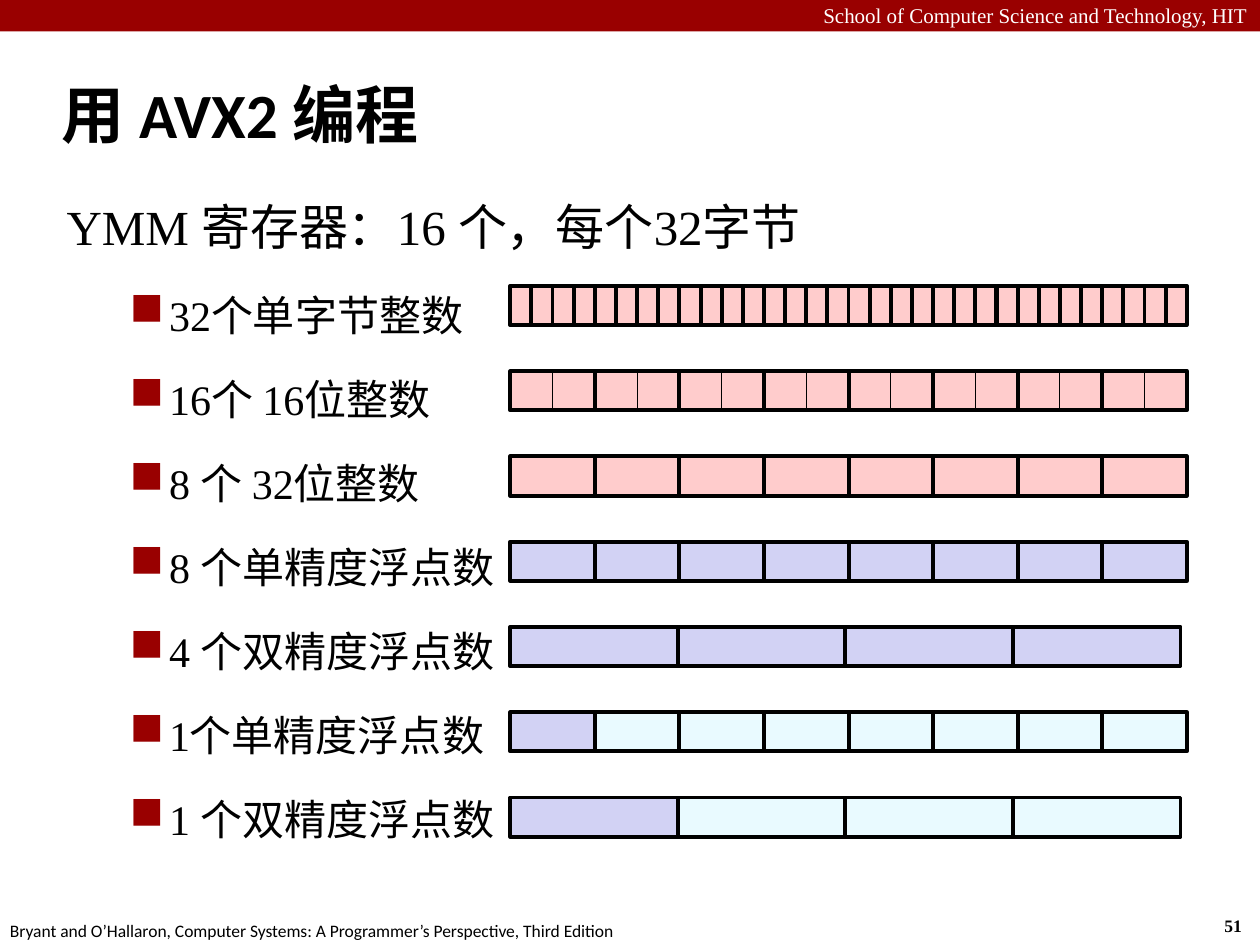
from dataclasses import dataclass
from typing import Optional

from lxml.etree import SubElement
from pptx import Presentation
from pptx.dml.color import RGBColor
from pptx.enum.shapes import MSO_SHAPE
from pptx.enum.text import MSO_ANCHOR, MSO_AUTO_SIZE, PP_ALIGN
from pptx.oxml.ns import qn
from pptx.slide import Slide
from pptx.text.text import TextFrame, _Paragraph
from pptx.util import Pt


@dataclass(frozen=True)
class Theme:
    """Colours, fonts and type sizes of the slide."""
    red: str = "990000"
    black: str = "000000"
    white: str = "FFFFFF"
    integer: str = "FFCCCC"
    floating: str = "D2D2F4"
    unused: str = "E9FAFF"
    serif: str = "Times New Roman"
    sans: str = "Calibri"
    title_size: float = 36
    heading_size: float = 28
    bullet_size: float = 24
    header_size: float = 12
    footer_size: float = 10


@dataclass(frozen=True)
class Box:
    """A rectangle in points."""
    left: float
    top: float
    width: float
    height: float

    def lengths(self) -> tuple[Pt, Pt, Pt, Pt]:
        """Return the four lengths for a new shape."""
        return Pt(self.left), Pt(self.top), Pt(self.width), Pt(self.height)


@dataclass(frozen=True)
class Register:
    """One way of dividing a register into lanes."""
    label: str
    lanes: int
    first_fill: str
    other_fill: str
    line_width: float = 2.25
    outlined_lanes: int = 0


@dataclass(frozen=True)
class Label:
    """A line of text in the header or footer."""
    text: str
    box: Box
    size: float
    font: str
    color: str
    bold: bool = False
    wrap: bool = False
    alignment: PP_ALIGN = PP_ALIGN.LEFT


THEME = Theme()
REGISTERS = [
    Register("32个单字节整数", 32, THEME.integer, THEME.integer),
    Register("16个 16位整数", 16, THEME.integer, THEME.integer, 0.5, 8),
    Register("8 个 32位整数", 8, THEME.integer, THEME.integer),
    Register("8 个单精度浮点数", 8, THEME.floating, THEME.floating),
    Register("4 个双精度浮点数", 4, THEME.floating, THEME.floating),
    Register("1个单精度浮点数", 8, THEME.floating, THEME.unused),
    Register("1 个双精度浮点数", 4, THEME.floating, THEME.unused),
]
LABELS = [
    Label("School of Computer Science and Technology, HIT", Box(0, -2, 720, 21.6),
          THEME.header_size, THEME.serif, THEME.white, wrap=True, alignment=PP_ALIGN.RIGHT),
    Label("51", Box(692.6, 519.1, 26.6, 19.4),
          THEME.footer_size, THEME.serif, THEME.black, bold=True),
    Label("Bryant and O’Hallaron, Computer Systems: A Programmer’s Perspective, Third Edition",
          Box(-1.4, 522, 365.8, 19.4), THEME.footer_size, THEME.sans, THEME.black),
]
REGISTER_LEFT, REGISTER_TOP = 291.6, 163.4
REGISTER_PITCH, REGISTER_HEIGHT = 48.72, 22.4
REGISTER_WIDTH, QUAD_WIDTH = 386.6, 383


def format_paragraph(paragraph: _Paragraph, size: float, font: str, color: str,
                     bold: bool = False) -> None:
    """Set the font of a whole paragraph."""
    paragraph.font.size = Pt(size)
    paragraph.font.name = font
    paragraph.font.bold = bold
    paragraph.font.color.rgb = RGBColor.from_string(color)


def add_rectangle(slide: Slide, box: Box, fill: Optional[str] = None,
                  line_width: float = 0) -> None:
    """Draw a rectangle with an optional fill and outline."""
    shape = slide.shapes.add_shape(MSO_SHAPE.RECTANGLE, *box.lengths())
    shape.shadow.inherit = False
    if fill:
        shape.fill.solid()
        shape.fill.fore_color.rgb = RGBColor.from_string(fill)
    else:
        shape.fill.background()
    if line_width:
        shape.line.width = Pt(line_width)
        shape.line.color.rgb = RGBColor.from_string(THEME.black)
    else:
        shape.line.fill.background()


def add_label(slide: Slide, label: Label) -> None:
    """Write a header or footer line."""
    frame = slide.shapes.add_textbox(*label.box.lengths()).text_frame
    frame.word_wrap = label.wrap
    paragraph = frame.paragraphs[0]
    paragraph.text = label.text
    paragraph.alignment = label.alignment
    format_paragraph(paragraph, label.size, label.font, label.color, label.bold)


def add_title(slide: Slide, text: str) -> None:
    """Place and format the title."""
    title = slide.shapes.title
    title.left, title.top, title.width, title.height = Box(28.1, 34.6, 691.9, 59.8).lengths()
    frame = title.text_frame
    frame.text = text
    frame.auto_size = MSO_AUTO_SIZE.NONE
    frame.vertical_anchor = MSO_ANCHOR.MIDDLE
    paragraph = frame.paragraphs[0]
    paragraph.alignment = PP_ALIGN.LEFT
    format_paragraph(paragraph, THEME.title_size, THEME.sans, THEME.black, True)


def add_square_bullet(paragraph: _Paragraph) -> None:
    """Give a paragraph a red square bullet and a hanging indent."""
    properties = paragraph._p.get_or_add_pPr()
    properties.set("marL", str(Pt(58.5)))
    properties.set("indent", str(Pt(-22.5)))
    color = SubElement(properties, qn("a:buClr"))
    SubElement(color, qn("a:srgbClr"), val=THEME.red)
    SubElement(properties, qn("a:buSzPct"), val="110000")
    SubElement(properties, qn("a:buChar"), char="■")


def add_body(frame: TextFrame, heading: str) -> None:
    """Write the heading and one bullet for each register."""
    frame.word_wrap = True
    paragraph = frame.paragraphs[0]
    paragraph.text = heading
    paragraph.line_spacing = 1.05
    paragraph.space_before = Pt(THEME.heading_size * 0.2)
    format_paragraph(paragraph, THEME.heading_size, THEME.serif, THEME.black)
    for register in REGISTERS:
        paragraph = frame.add_paragraph()
        paragraph.text = register.label
        paragraph.level = 1
        add_square_bullet(paragraph)
        paragraph.line_spacing = 1.5
        paragraph.space_before = Pt(THEME.bullet_size * 0.2)
        format_paragraph(paragraph, THEME.bullet_size, THEME.serif, THEME.black)


def add_register(slide: Slide, register: Register, top: float) -> None:
    """Draw the lanes of a register and any outlines over them."""
    total = QUAD_WIDTH if register.lanes == 4 else REGISTER_WIDTH

    def lane_box(index: int, count: int) -> Box:
        """Return the place of one lane."""
        width = total / count
        return Box(REGISTER_LEFT + index * width, top, width, REGISTER_HEIGHT)

    for index in range(register.lanes):
        fill = register.other_fill if index else register.first_fill
        add_rectangle(slide, lane_box(index, register.lanes), fill, register.line_width)
    for index in range(register.outlined_lanes):
        add_rectangle(slide, lane_box(index, register.outlined_lanes), line_width=2.25)


def main() -> None:
    """Build and save the presentation."""
    presentation = Presentation()
    presentation.slide_width, presentation.slide_height = Pt(720), Pt(540)
    slide = presentation.slides.add_slide(presentation.slide_layouts[5])
    add_rectangle(slide, Box(0, 0, 720, 18), THEME.red)
    for label in LABELS:
        add_label(slide, label)
    add_title(slide, "用 AVX2 编程")
    body = slide.shapes.add_textbox(*Box(31, 107.3, 676.8, 414.7).lengths())
    add_body(body.text_frame, "YMM 寄存器：16 个，每个32字节")
    for row, register in enumerate(REGISTERS):
        add_register(slide, register, REGISTER_TOP + row * REGISTER_PITCH)
    presentation.save("out.pptx")


main()
